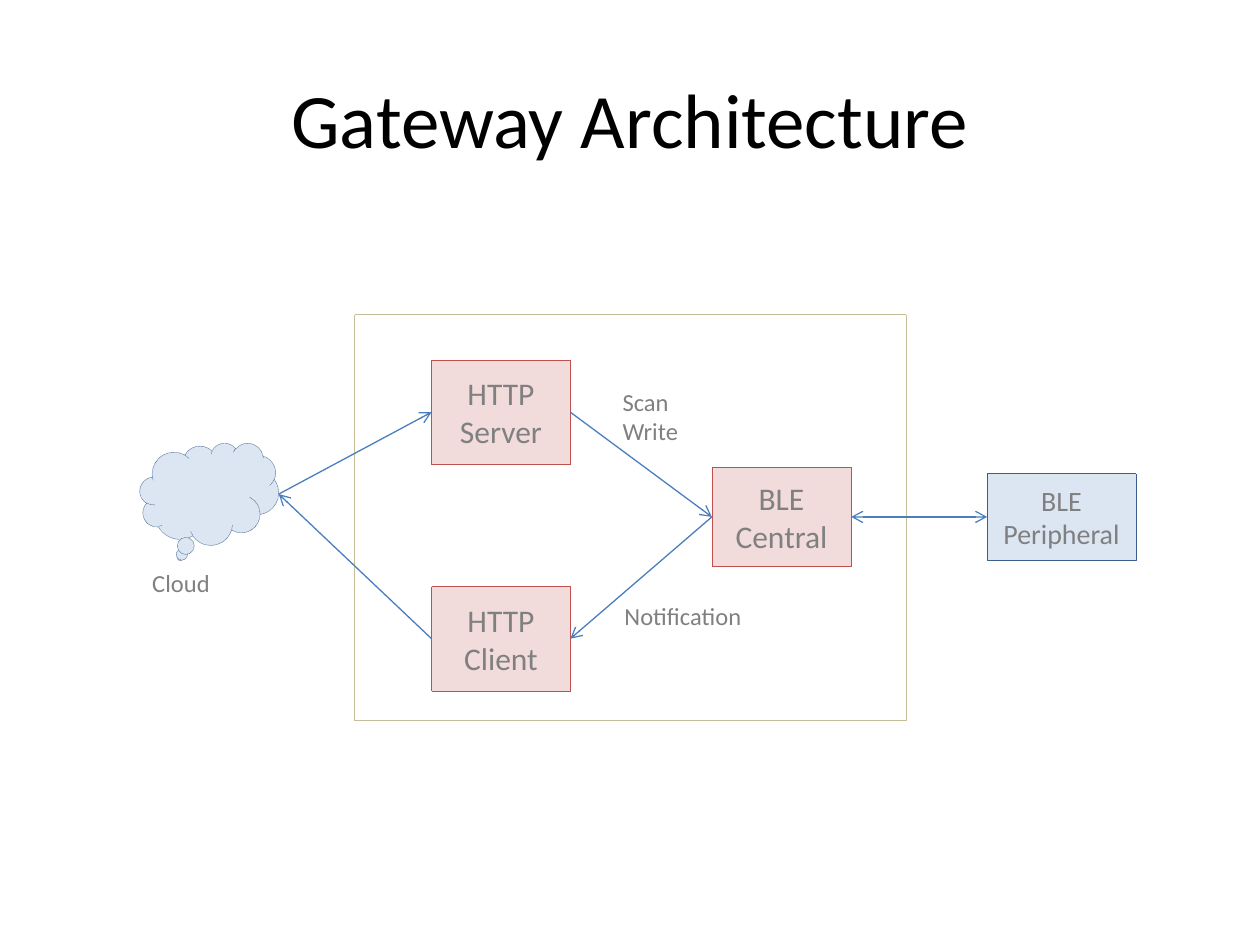
"""Build the Gateway Architecture slide."""
from dataclasses import dataclass
from typing import Optional

from lxml import etree
from pptx import Presentation
from pptx.dml.color import RGBColor
from pptx.enum.dml import MSO_LINE
from pptx.enum.shapes import MSO_CONNECTOR, MSO_SHAPE
from pptx.enum.text import MSO_ANCHOR, MSO_AUTO_SIZE, PP_ALIGN
from pptx.oxml.ns import qn
from pptx.shapes.autoshape import Shape
from pptx.slide import Slide
from pptx.text.text import TextFrame
from pptx.util import Cm, Pt

FONT = "Calibri"
BLACK = RGBColor(0x00, 0x00, 0x00)
GREY = RGBColor(0x80, 0x80, 0x80)
TAN = RGBColor(0xC4, 0xBD, 0x97)
PALE_BLUE = RGBColor(0xDC, 0xE6, 0xF2)
DARK_BLUE = RGBColor(0x3A, 0x5F, 0x8C)
PALE_RED = RGBColor(0xF2, 0xDC, 0xDB)
RED = RGBColor(0xC0, 0x50, 0x4D)
ARROW_BLUE = RGBColor(0x4B, 0x7E, 0xBC)
LEFT_SITE, RIGHT_SITE = 1, 3


@dataclass(frozen=True)
class Node:
    """A dotted-outline shape, measured in centimetres."""
    key: str
    left: float
    top: float
    width: float
    height: float
    line: RGBColor
    fill: Optional[RGBColor] = None
    lines: tuple[str, ...] = ()
    size: int = 18
    preset: MSO_SHAPE = MSO_SHAPE.RECTANGLE


@dataclass(frozen=True)
class Label:
    """Free text, measured in centimetres."""
    left: float
    top: float
    width: float
    height: float
    lines: tuple[str, ...]


@dataclass(frozen=True)
class Arrow:
    """An arrow from one node side to another."""
    start: str
    start_site: int
    end: str
    end_site: int
    both_ways: bool = False


NODES = (
    Node("Gateway", 7.14, 6.34, 11.13, 8.18, TAN),
    Node("Cloud", 2.82, 8.93, 2.8, 2.06, DARK_BLUE, PALE_BLUE,
         preset=MSO_SHAPE.CLOUD_CALLOUT),
    Node("Peripheral", 19.9, 9.55, 3, 1.74, DARK_BLUE, PALE_BLUE, ("BLE", "Peripheral"), 16),
    Node("Server", 8.7, 7.26, 2.8, 2.1, RED, PALE_RED, ("HTTP", "Server")),
    Node("Client", 8.7, 11.82, 2.8, 2.11, RED, PALE_RED, ("HTTP", "Client")),
    Node("Central", 14.35, 9.42, 2.81, 2, RED, PALE_RED, ("BLE", "Central")),
)
LABELS = (
    Label(2.82, 11.33, 1.68, 0.86, ("Cloud",)),
    Label(12.3, 7.67, 1.65, 1.45, ("Scan", "Write")),
    Label(12.34, 11.99, 2.9, 0.86, ("Notification",)),
)
ARROWS = (
    Arrow("Peripheral", LEFT_SITE, "Central", RIGHT_SITE, both_ways=True),
    Arrow("Server", RIGHT_SITE, "Central", LEFT_SITE),
    Arrow("Central", LEFT_SITE, "Client", RIGHT_SITE),
    Arrow("Cloud", RIGHT_SITE, "Server", LEFT_SITE),
    Arrow("Client", LEFT_SITE, "Cloud", RIGHT_SITE),
)


def write(frame: TextFrame, lines: tuple[str, ...], size: int, color: RGBColor,
          align: PP_ALIGN) -> None:
    """Write one formatted paragraph per line."""
    for index, line in enumerate(lines):
        paragraph = frame.add_paragraph() if index else frame.paragraphs[0]
        paragraph.alignment = align
        run = paragraph.add_run()
        run.text = line
        run.font.name, run.font.size, run.font.color.rgb = FONT, Pt(size), color


def add_title(slide: Slide, text: str) -> None:
    """Place and format the title placeholder."""
    title = slide.shapes.title
    title.left, title.top, title.width, title.height = Cm(1.27), Cm(0.79), Cm(22.86), Cm(3.18)
    title.text_frame.vertical_anchor = MSO_ANCHOR.MIDDLE
    write(title.text_frame, (text,), 44, BLACK, PP_ALIGN.CENTER)


def add_node(slide: Slide, node: Node) -> Shape:
    """Draw a node and return its shape."""
    shape = slide.shapes.add_shape(node.preset, Cm(node.left), Cm(node.top),
                                   Cm(node.width), Cm(node.height))
    shape.shadow.inherit = False
    if node.fill is None:
        shape.fill.background()
    else:
        shape.fill.solid()
        shape.fill.fore_color.rgb = node.fill
    shape.line.color.rgb = node.line
    shape.line.width = Pt(0.25)
    shape.line.dash_style = MSO_LINE.ROUND_DOT
    shape.text_frame.word_wrap = True
    shape.text_frame.vertical_anchor = MSO_ANCHOR.MIDDLE
    write(shape.text_frame, node.lines, node.size, GREY, PP_ALIGN.CENTER)
    return shape


def add_label(slide: Slide, label: Label) -> None:
    """Draw a free text label."""
    box = slide.shapes.add_textbox(Cm(label.left), Cm(label.top), Cm(label.width), Cm(label.height))
    box.text_frame.word_wrap = False
    box.text_frame.auto_size = MSO_AUTO_SIZE.SHAPE_TO_FIT_TEXT
    write(box.text_frame, label.lines, 14, GREY, PP_ALIGN.LEFT)


def side_point(shape: Shape, site: int) -> tuple[int, int]:
    """Return the middle of the left or right side of a shape."""
    x = shape.left + (shape.width if site == RIGHT_SITE else 0)
    return x, shape.top + shape.height // 2


def add_arrow(slide: Slide, arrow: Arrow, shapes: dict[str, Shape]) -> None:
    """Draw an arrow, gluing its ends to rectangular nodes."""
    start, end = shapes[arrow.start], shapes[arrow.end]
    connector = slide.shapes.add_connector(
        MSO_CONNECTOR.STRAIGHT, *side_point(start, arrow.start_site),
        *side_point(end, arrow.end_site))
    if start.auto_shape_type == MSO_SHAPE.RECTANGLE:
        connector.begin_connect(start, arrow.start_site)
    if end.auto_shape_type == MSO_SHAPE.RECTANGLE:
        connector.end_connect(end, arrow.end_site)
    connector.line.color.rgb = ARROW_BLUE
    connector.line.width = Pt(0.75)
    properties = connector._element.spPr
    outline = properties.find(qn("a:ln"))
    for tag in ("a:headEnd", "a:tailEnd") if arrow.both_ways else ("a:tailEnd",):
        etree.SubElement(outline, qn(tag), type="arrow")
    etree.SubElement(properties, qn("a:effectLst"))


def main() -> None:
    """Build and save the slide."""
    deck = Presentation()
    deck.slide_width, deck.slide_height = Cm(25.4), Cm(19.05)
    slide = deck.slides.add_slide(deck.slide_layouts[5])
    add_title(slide, "Gateway Architecture")
    shapes = {node.key: add_node(slide, node) for node in NODES}
    for arrow in ARROWS:
        add_arrow(slide, arrow, shapes)
    for label in LABELS:
        add_label(slide, label)
    deck.save("out.pptx")


main()
